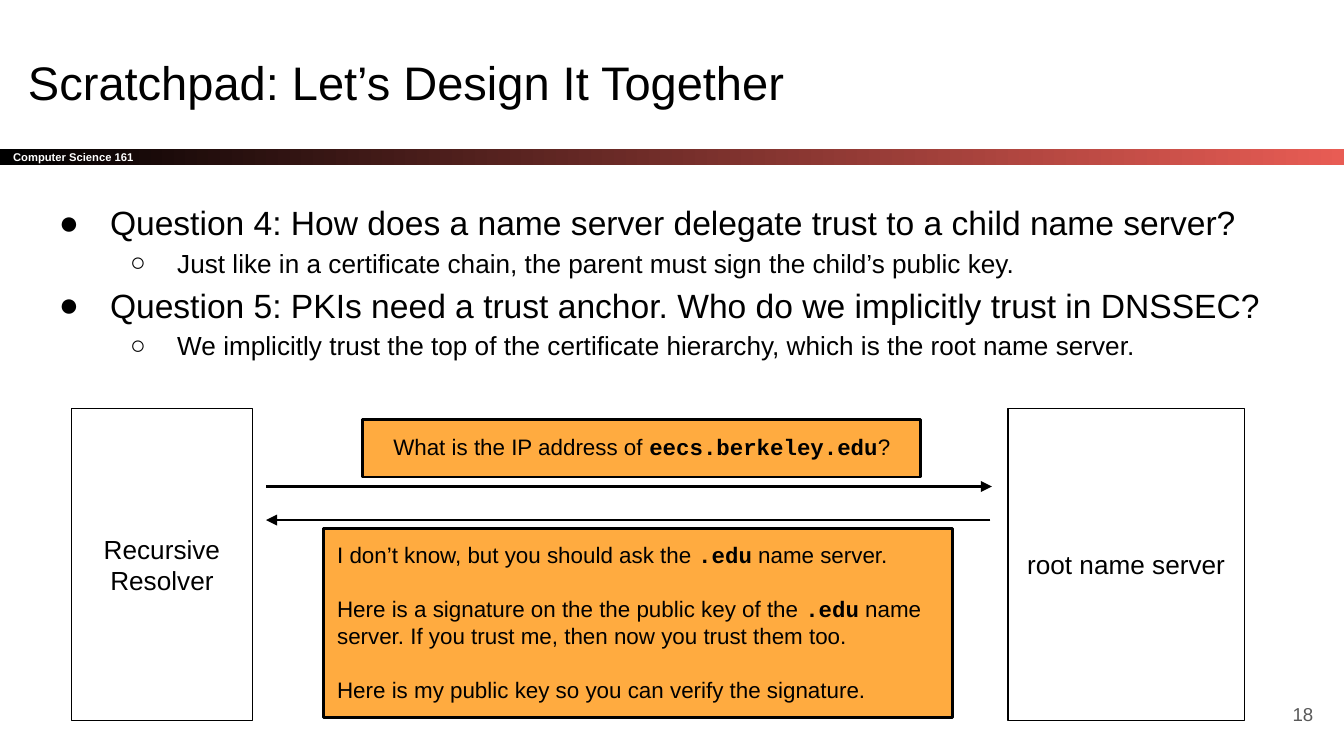
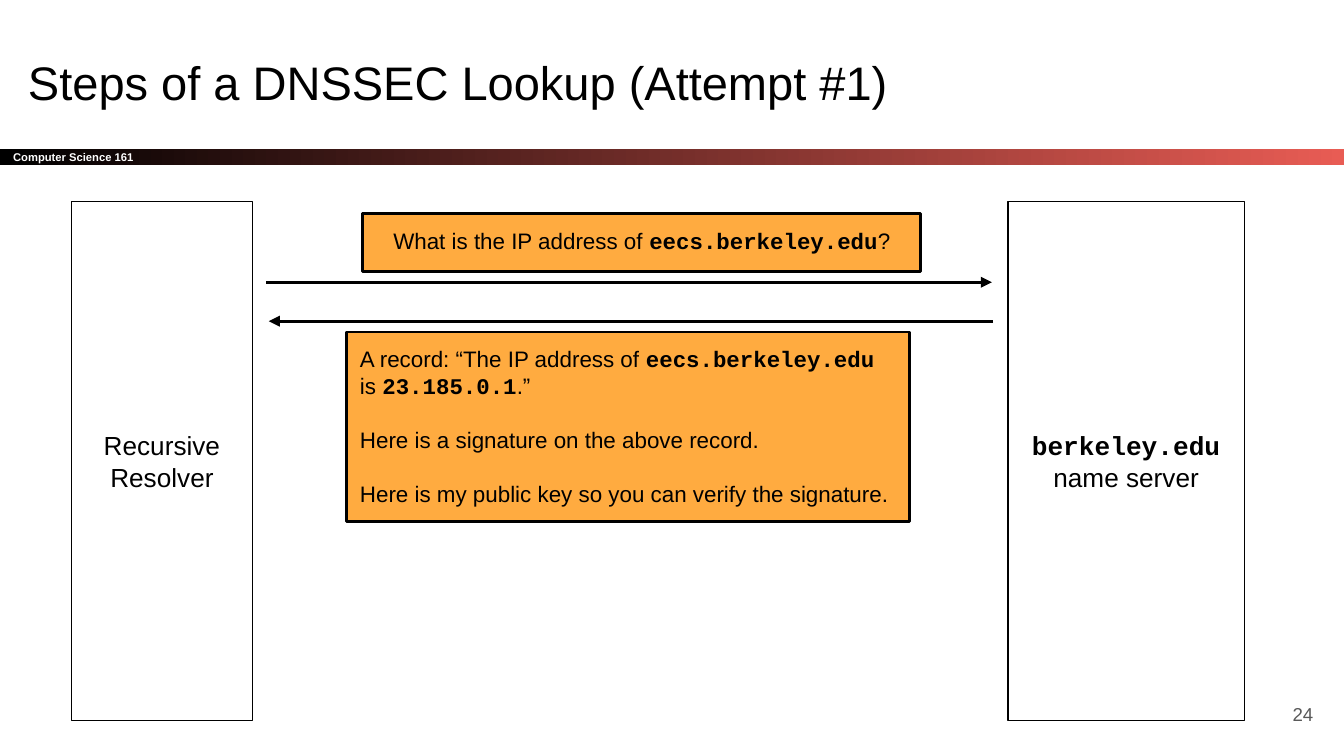
"""Build two slides on how a resolver and a name server talk in DNSSEC."""
from lxml import etree
from pptx import Presentation
from pptx import util as u
from pptx.dml.color import RGBColor
from pptx.enum import shapes, text
from pptx.oxml import ns

COLORS = {
    "ink": "000000",
    "band_end": "E85C54",
    "band_text": "FFFFFF",
    "message": "FFAB40",
    "page": "595959",
}
SANS, MONO = "Arial", "Courier New"
CENTER, LEFT, RIGHT = text.PP_ALIGN.CENTER, text.PP_ALIGN.LEFT, text.PP_ALIGN.RIGHT
TOP, MIDDLE = text.MSO_ANCHOR.TOP, text.MSO_ANCHOR.MIDDLE
FRAME = {
    "word_wrap": True,
    "auto_size": text.MSO_AUTO_SIZE.NONE,
    **{f"margin_{side}": u.Inches(0.1) for side in ("left", "top", "right", "bottom")},
}
BULLETS = (
    {"char": "●", "left": 0.5, "hang": -0.38, "size": 18},
    {"char": "○", "left": 1, "hang": -0.35, "size": 14},
)
QUESTION = "What is the IP address of `eecs.berkeley.edu`?"
RESOLVER = "Recursive Resolver"
KEY_NOTE = "Here is my public key so you can verify the signature."


def rgb(name):
    """Return the named colour."""
    return RGBColor.from_string(COLORS[name])


def assign(target, values):
    """Set each attribute in values on the target."""
    for name, value in values.items():
        setattr(target, name, value)


def inches(*lengths):
    """Return the lengths in inches."""
    return [u.Inches(length) for length in lengths]


def write(paragraph, wording, size, color="ink", bold=False):
    """Add runs to a paragraph, with backticked parts in bold monospace."""
    for index, part in enumerate(wording.split("`")):
        if part:
            code = index % 2 == 1
            run = paragraph.add_run()
            run.text = part
            assign(run.font, {"name": MONO if code else SANS, "size": u.Pt(size),
                              "bold": bold or code})
            run.font.color.rgb = rgb(color)


def fill_frame(shape, wordings, size, align=LEFT, anchor=TOP, gap=0, **style):
    """Write one paragraph per wording, with a gap in points between them."""
    frame = shape.text_frame
    assign(frame, {**FRAME, "vertical_anchor": anchor})
    for index, wording in enumerate(wordings):
        paragraph = frame.add_paragraph() if index else frame.paragraphs[0]
        assign(paragraph, {"alignment": align, "space_before": u.Pt(gap if index else 0)})
        write(paragraph, wording, size, **style)


def add_label(slide, place, wording, size, **style):
    """Add a text box with one line of text."""
    fill_frame(slide.shapes.add_textbox(*inches(*place)), [wording], size, **style)


def add_rectangle(slide, place):
    """Add a rectangle without shadow."""
    rectangle = slide.shapes.add_shape(shapes.MSO_SHAPE.RECTANGLE, *inches(*place))
    rectangle.shadow.inherit = False
    return rectangle


def add_box(slide, place, wordings, size, width, fill=None, **style):
    """Add an outlined box with text."""
    box = add_rectangle(slide, place)
    if fill:
        box.fill.solid()
        box.fill.fore_color.rgb = rgb(fill)
    else:
        box.fill.background()
    box.line.color.rgb = rgb("ink")
    box.line.width = u.Pt(width)
    fill_frame(box, wordings, size, **style)


def add_arrow(slide, start, end, y):
    """Add a level arrow that points at its end."""
    arrow = slide.shapes.add_connector(
        shapes.MSO_CONNECTOR.STRAIGHT, *inches(start, y, end, y))
    arrow.line.color.rgb = rgb("ink")
    arrow.line.width = u.Pt(1.5)
    etree.SubElement(arrow.line._get_or_add_ln(), ns.qn("a:tailEnd"), type="triangle")
    etree.SubElement(arrow._element.spPr, ns.qn("a:effectLst"))


def add_bullets(slide, place, items):
    """Add a bulleted list of (level, wording) items."""
    frame = slide.shapes.add_textbox(*inches(*place)).text_frame
    assign(frame, FRAME)
    for index, (level, wording) in enumerate(items):
        bullet = BULLETS[level]
        paragraph = frame.add_paragraph() if index else frame.paragraphs[0]
        assign(paragraph, {"level": level, "line_spacing": 1.15})
        properties = paragraph._p.get_or_add_pPr()
        properties.set("marL", str(u.Inches(bullet["left"])))
        properties.set("indent", str(u.Inches(bullet["hang"])))
        color = etree.SubElement(properties, ns.qn("a:buClr"))
        etree.SubElement(color, ns.qn("a:srgbClr"), val=COLORS["ink"])
        etree.SubElement(properties, ns.qn("a:buSzPts"), val=str(bullet["size"] * 100))
        etree.SubElement(properties, ns.qn("a:buFont"), typeface=SANS)
        etree.SubElement(properties, ns.qn("a:buChar"), char=bullet["char"])
        write(paragraph, wording, bullet["size"])


def add_page(deck, title, number):
    """Add a slide with its title, course band and page number."""
    slide = deck.slides.add_slide(deck.slide_layouts[6])
    band = add_rectangle(slide, (0, 1.11, 10, 0.12))
    band.fill.gradient()
    band.fill.gradient_angle = 0
    for stop, color in zip(band.fill.gradient_stops, ("ink", "band_end")):
        stop.color.rgb = rgb(color)
    band.line.fill.background()
    fill_frame(band, ["Computer Science 161"], 6, anchor=MIDDLE,
               color="band_text", bold=True)
    add_label(slide, (0.11, 0.3, 9.32, 0.63), title, 25.2)
    add_label(slide, (9.27, 5.1, 0.6, 0.43), str(number), 10,
              align=RIGHT, anchor=MIDDLE, color="page")
    return slide


def add_hosts(slide, top, server):
    """Add the resolver and the name server, down to a shared bottom edge."""
    for left, width, host in ((0.53, 1.35, RESOLVER), (7.5, 1.76, server)):
        add_box(slide, (left, top, width, 5.36 - top), [host], 14, 0.75,
                align=CENTER, anchor=MIDDLE)


def add_query(slide, top, arrow_y):
    """Add the question with its arrow to the name server."""
    add_arrow(slide, 1.98, 7.38, arrow_y)
    add_box(slide, (2.7, top, 4.15, 0.43), [QUESTION], 12, 1.5,
            fill="message", align=CENTER)


def add_reply(slide, place, arrow_y, wordings, nudge=0):
    """Add the answer with its arrow back to the resolver."""
    add_arrow(slide, 7.37 + nudge, 1.98 + nudge, arrow_y)
    add_box(slide, place, wordings, 12, 1.5, fill="message", gap=14.5)


def main():
    """Build and save the deck."""
    deck = Presentation()
    width = u.Inches(10)
    assign(deck, {"slide_width": width, "slide_height": width * 9 // 16})

    design = add_page(deck, "Scratchpad: Let’s Design It Together", 18)
    add_bullets(design, (0.22, 1.36, 9.32, 1.58), (
        (0, "Question 4: How does a name server delegate trust to a child name server?"),
        (1, "Just like in a certificate chain, the parent must sign the child’s public key."),
        (0, "Question 5: PKIs need a trust anchor. Who do we implicitly trust in DNSSEC?"),
        (1, "We implicitly trust the top of the certificate hierarchy, "
            "which is the root name server."),
    ))
    add_hosts(design, 3.04, "root name server")
    add_query(design, 3.12, 3.62)
    add_reply(design, (2.41, 3.93, 4.68, 1.41), 3.87, (
        "I don’t know, but you should ask the `.edu` name server.",
        "Here is a signature on the the public key of the `.edu` name server. "
        "If you trust me, then now you trust them too.",
        KEY_NOTE,
    ))

    lookup = add_page(deck, "Steps of a DNSSEC Lookup (Attempt #1)", 24)
    add_hosts(lookup, 1.5, "`berkeley.edu` name server")
    add_query(lookup, 1.59, 2.1)
    add_reply(lookup, (2.58, 2.47, 4.19, 1.41), 2.39, (
        "A record: “The IP address of `eecs.berkeley.edu` is `23.185.0.1`.”",
        "Here is a signature on the above record.",
        KEY_NOTE,
    ), nudge=0.02)

    deck.save("out.pptx")


if __name__ == "__main__":
    main()
